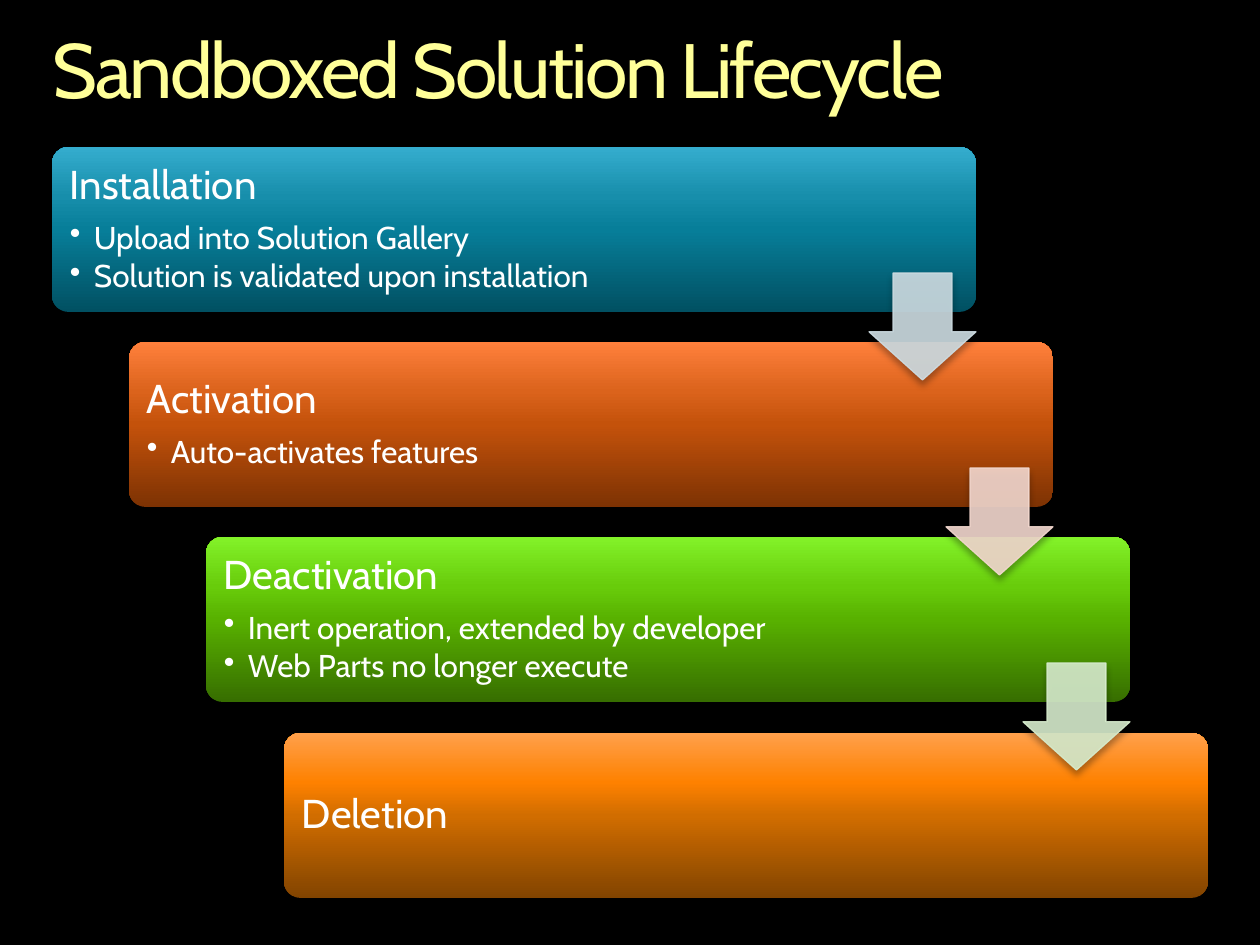
import pptx
import pptx.util
import pptx.dml.color
import pptx.enum.shapes
import pptx.enum.text
import pptx.oxml
import pptx.oxml.ns

EMU_PER_PX = 914400 / 126
FONT = "Cabin"
COLORS = {
    "background": "000000",
    "title": "FFFF99",
    "text": "FFFFFF",
    "shadow": "000000",
}
STOPS = (0, 50, 70, 100)
STAGES = [
    ("Installation",
     ["Upload into Solution Gallery", "Solution is validated upon installation"],
     ("015062", "077E99", "178EAB", "35ADCE"), "CEDDE3"),
    ("Activation",
     ["Auto-activates features"],
     ("7D3203", "C4520B", "DB631C", "FF803C"), "F3D8CF"),
    ("Deactivation",
     ["Inert operation, extended by developer", "Web Parts no longer execute"],
     ("376E00", "58B100", "68CC0B", "83F229"), "D7ECCD"),
    ("Deletion", [], ("824400", "D16D00", "FE8100", "FFA04B"), None),
]
LEFT, TOP = 52, 147
SPAN_X, SPAN_Y = 232, 586
PANEL_WIDTH, PANEL_HEIGHT = 924, 165
ARROW_SIZE, ARROW_DROP = 107, 126
TEXT_INSET, TEXT_WIDTH = 5, 732


def px(length):
    return pptx.util.Emu(round(length * EMU_PER_PX))


def rgb(value):
    return pptx.dml.color.RGBColor.from_string(value)


def xml(text):
    namespace = pptx.oxml.ns.nsdecls("a")
    return pptx.oxml.parse_xml(text.replace(" ", f" {namespace} ", 1))


def add_shadow(shape):
    shape.shadow.inherit = False
    effects = shape._element.spPr.find(pptx.oxml.ns.qn("a:effectLst"))
    effects.append(xml(
        '<a:outerShdw blurRad="50800" dist="38100" dir="5400000" rotWithShape="0">'
        f'<a:srgbClr val="{COLORS["shadow"]}"><a:alpha val="35000"/></a:srgbClr>'
        '</a:outerShdw>'))


def set_gradient(shape, colors):
    shape.fill.gradient()
    gradient = shape._element.spPr.find(pptx.oxml.ns.qn("a:gradFill"))
    stops = "".join(
        f'<a:gs pos="{position * 1000}"><a:srgbClr val="{color}"/></a:gs>'
        for position, color in zip(STOPS, colors))
    gradient.getparent().replace(gradient, xml(
        f'<a:gradFill rotWithShape="1"><a:gsLst>{stops}</a:gsLst>'
        '<a:lin ang="16200000" scaled="0"/></a:gradFill>'))


def set_translucent(fill, color):
    fill.solid()
    fill.fore_color.rgb = rgb(color)
    color_element = fill._xPr.find(".//" + pptx.oxml.ns.qn("a:srgbClr"))
    color_element.append(xml('<a:alpha val="90000"/>'))


def add_text_box(slide, left, top, width, height, margin, anchor):
    box = slide.shapes.add_textbox(px(left), px(top), px(width), px(height))
    frame = box.text_frame
    frame.word_wrap = True
    frame.vertical_anchor = anchor
    frame.margin_left = frame.margin_right = px(margin)
    frame.margin_top = frame.margin_bottom = px(margin)
    return frame


def add_run(paragraph, text, size, color):
    paragraph.line_spacing = 0.9
    run = paragraph.add_run()
    run.text = text
    run.font.name = FONT
    run.font.size = pptx.util.Pt(size)
    run.font.color.rgb = rgb(COLORS[color])
    return run


def add_bullet(frame, text):
    paragraph = frame.add_paragraph()
    paragraph.level = 1
    properties = paragraph._p.get_or_add_pPr()
    properties.set("marL", str(px(24)))
    properties.set("indent", str(-px(24)))
    properties.append(xml('<a:buChar char="•"/>'))
    paragraph.space_after = pptx.util.Pt(2.7)
    add_run(paragraph, text, 18, "text")


def add_title(slide, text):
    frame = add_text_box(slide, 53, 32, 1155, 84, 0,
                         pptx.enum.text.MSO_ANCHOR.TOP)
    run = add_run(frame.paragraphs[0], text, 44, "title")
    run.font._element.set("spc", "-150")


def add_panel(slide, left, top, heading, bullets, colors):
    panel = slide.shapes.add_shape(
        pptx.enum.shapes.MSO_SHAPE.ROUNDED_RECTANGLE,
        px(left), px(top), px(PANEL_WIDTH), px(PANEL_HEIGHT))
    panel.adjustments[0] = 0.1
    set_gradient(panel, colors)
    panel.line.fill.background()
    add_shadow(panel)
    frame = add_text_box(slide, left + TEXT_INSET, top + TEXT_INSET, TEXT_WIDTH,
                         PANEL_HEIGHT - 2 * TEXT_INSET, 13,
                         pptx.enum.text.MSO_ANCHOR.MIDDLE)
    paragraph = frame.paragraphs[0]
    paragraph.space_after = pptx.util.Pt(8)
    add_run(paragraph, heading, 23, "text")
    for bullet in bullets:
        add_bullet(frame, bullet)


def add_arrow(slide, left, top, color):
    arrow = slide.shapes.add_shape(
        pptx.enum.shapes.MSO_SHAPE.DOWN_ARROW,
        px(left), px(top), px(ARROW_SIZE), px(ARROW_SIZE))
    arrow.adjustments[0] = 0.55
    arrow.adjustments[1] = 0.45
    set_translucent(arrow.fill, color)
    arrow.line.width = pptx.util.Pt(0.75)
    set_translucent(arrow.line.fill, color)
    add_shadow(arrow)


def main():
    presentation = pptx.Presentation()
    presentation.slide_width = px(1260)
    presentation.slide_height = px(945)
    slide = presentation.slides.add_slide(presentation.slide_layouts[6])
    slide.background.fill.solid()
    slide.background.fill.fore_color.rgb = rgb(COLORS["background"])

    add_title(slide, "Sandboxed Solution Lifecycle")
    steps = len(STAGES) - 1
    corners = [(LEFT + SPAN_X * index // steps, TOP + SPAN_Y * index // steps)
               for index in range(len(STAGES))]
    for (left, top), (heading, bullets, colors, _) in zip(corners, STAGES):
        add_panel(slide, left, top, heading, bullets, colors)
    for (left, top), (*_, arrow_color) in zip(corners, STAGES):
        if arrow_color:
            add_arrow(slide, left + PANEL_WIDTH - ARROW_SIZE, top + ARROW_DROP,
                      arrow_color)
    presentation.save("out.pptx")


if __name__ == "__main__":
    main()
